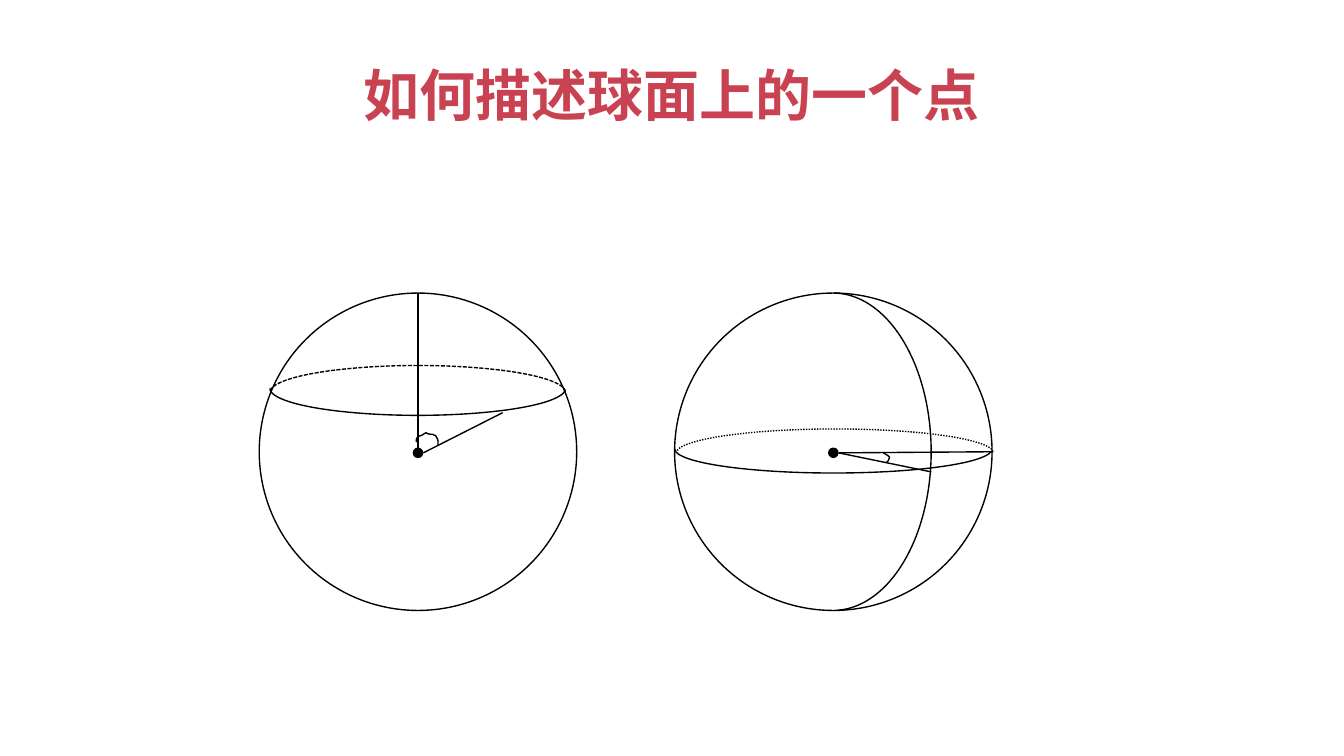
from dataclasses import dataclass
from lxml.etree import SubElement
from pptx import Presentation
from pptx.dml.color import RGBColor
from pptx.enum.dml import MSO_LINE
from pptx.enum.shapes import MSO_CONNECTOR, MSO_SHAPE
from pptx.enum.text import MSO_ANCHOR, PP_ALIGN
from pptx.oxml.ns import qn
from pptx.util import Cm, Pt


@dataclass(frozen=True)
class Theme:
    ink: RGBColor = RGBColor(0, 0, 0)
    red: RGBColor = RGBColor(0xC9, 0x42, 0x51)
    font: str = "Noto Sans CJK SC"
    title: Pt = Pt(30)
    line: Pt = Pt(0.75)


THEME = Theme()
DOT = 0.2


def apply(item, **form):
    for name, value in form.items():
        setattr(item, name, value)


def ink(line, dash=None):
    line.color.rgb = THEME.ink
    apply(line, width=THEME.line, dash_style=dash)


def shape(slide, kind, box, place):
    x, y, w, h = place
    item = slide.shapes.add_shape(
        kind, Cm(box[0] + x), Cm(box[1] + y), Cm(w), Cm(h))
    item.shadow.inherit = False
    item.fill.background()
    ink(item.line)
    return item


def arc(slide, box, place, start, end, turn=0, dash=None):
    item = shape(slide, MSO_SHAPE.ARC, box, place)
    item.adjustments[0] = start
    item.adjustments[1] = end
    item.rotation = turn
    ink(item.line, dash)


def line(slide, box, start, end):
    ends = [Cm(box[i] + point[i]) for point in (start, end) for i in (0, 1)]
    item = slide.shapes.add_connector(MSO_CONNECTOR.STRAIGHT, *ends)
    ink(item.line)
    SubElement(item._element.spPr, qn("a:effectLst"))


def bezier(a, b, c, d, steps=8):
    for i in range(1, steps + 1):
        t = i / steps
        u = 1 - t
        yield tuple(u**3 * p + 3 * u * u * t * q + 3 * u * t * t * r + t**3 * s
                    for p, q, r, s in zip(a, b, c, d))


def mark(slide, box, start, parts):
    points = [start]
    for part in parts:
        points += bezier(points[-1], *part) if len(part) == 3 else part
    path = [(Cm(box[0] + x), Cm(box[1] + y)) for x, y in points]
    build = slide.shapes.build_freeform(*path[0])
    build.add_line_segments(path[1:], close=False)
    item = build.convert_to_shape()
    item.shadow.inherit = False
    item.fill.background()
    ink(item.line)


def ring(slide, box, place, start, dash, shift):
    x, y, w, h = place
    arc(slide, box, place, start, 0, turn=180)
    arc(slide, box, (x + shift, y + 0.08, w, h), start, 0, dash=dash)


def sphere(slide, box):
    size = box[2]
    shape(slide, MSO_SHAPE.OVAL, box, (0, 0, size, size))
    place = (size / 2 - DOT / 2, size / 2 - 0.08, DOT, DOT)
    dot = shape(slide, MSO_SHAPE.OVAL, box, place)
    dot.fill.solid()
    dot.fill.fore_color.rgb = THEME.ink
    dot.line.fill.background()


def polar(slide, box):
    sphere(slide, box)
    half = box[2] / 2
    ring(slide, box, (0.2, 1.29, 5.59, 1.02), 108.3, MSO_LINE.SQUARE_DOT, 0)
    line(slide, box, (half, half - 0.08), (half, 0))
    line(slide, box, (half + 0.1, 3.02), (4.6, 2.26))
    mark(slide, box, (2.97, 2.82), [
        [(2.97, 2.74), (2.97, 2.72), (3.07, 2.69)],
        [(3.15, 2.64)],
        [(3.2, 2.67), (3.23, 2.67), (3.28, 2.67)],
        [(3.28, 2.67), (3.3, 2.69), (3.33, 2.69)],
        [(3.38, 2.77), (3.38, 2.77), (3.38, 2.87)],
    ])


def azimuth(slide, box):
    sphere(slide, box)
    size = box[2]
    hub = (size / 2 + 0.1, 3.02)
    ring(slide, box, (0, 2.49, size, 0.91), 108.57, MSO_LINE.ROUND_DOT, 0.03)
    arc(slide, box, (1.14, 0, 3.71, size), 162.16, 52.96)
    for end in ((size, 3), (4.85, 3.38)):
        line(slide, box, hub, end)
    mark(slide, box, (3.94, 3.02), [
        [(3.94, 3.02), (4.04, 3.07), (4.06, 3.1)],
        [(4.06, 3.12), (4.04, 3.18), (4.01, 3.2)],
        [(4.01, 3.2), (4.01, 3.2), (3.99, 3.2)],
    ])


def title(slide, box, text):
    frame = slide.shapes.add_textbox(*map(Cm, box)).text_frame
    apply(frame, word_wrap=True, vertical_anchor=MSO_ANCHOR.MIDDLE)
    para = frame.paragraphs[0]
    para.alignment = PP_ALIGN.CENTER
    run = para.add_run()
    run.text = text
    apply(run.font, size=THEME.title, bold=True, name=THEME.font)
    run.font.color.rgb = THEME.red
    SubElement(run.font._element, qn("a:ea"), typeface=THEME.font)


def main():
    deck = Presentation()
    apply(deck, slide_width=Cm(25.4), slide_height=Cm(14.29))
    slide = deck.slides.add_slide(deck.slide_layouts[6])
    title(slide, (1.27, 0.58, 22.86, 2.39), "如何描述球面上的一个点")
    for draw, left in ((polar, 4.9), (azimuth, 12.75)):
        draw(slide, (left, 5.54, 6, 6))
    deck.save("out.pptx")


if __name__ == "__main__":
    main()
